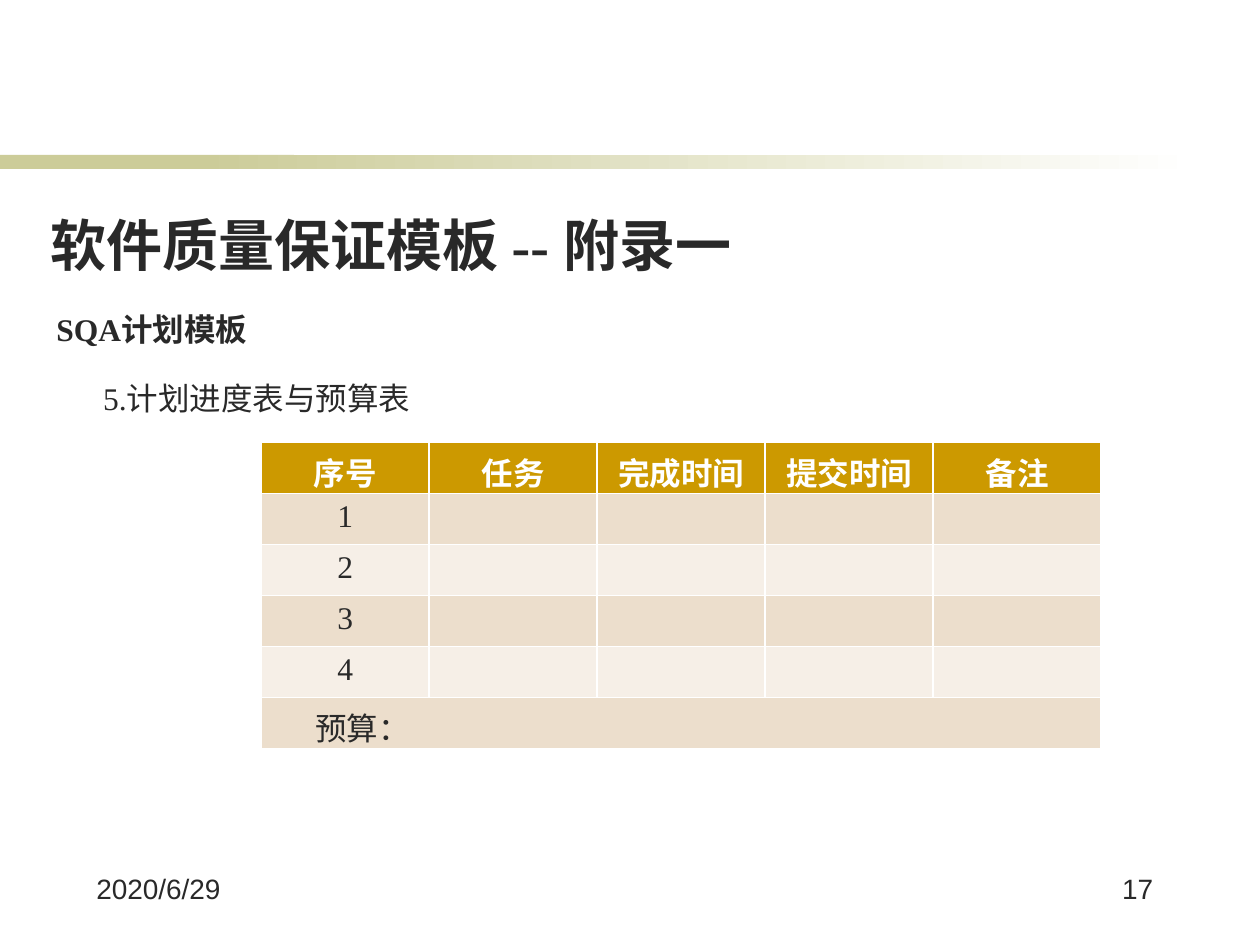
"""Build the slide with the schedule and budget table of the SQA plan template."""
import pptx
import pptx.dml.color
import pptx.enum.shapes
import pptx.enum.text
import pptx.util

Pt = pptx.util.Pt
RGBColor = pptx.dml.color.RGBColor
MSO_SHAPE = pptx.enum.shapes.MSO_SHAPE
MSO_ANCHOR = pptx.enum.text.MSO_ANCHOR
MSO_AUTO_SIZE = pptx.enum.text.MSO_AUTO_SIZE
PP_ALIGN = pptx.enum.text.PP_ALIGN

COLORS = {
    "ink": "292929",
    "white": "FFFFFF",
    "olive": "CCCC99",
    "header": "CC9900",
    "odd": "ECDECC",
    "even": "F6EFE7",
}
SERIF = "Times New Roman"
HEADINGS = ["序号", "任务", "完成时间", "提交时间", "备注"]
BODY_ROWS = 5


def color(name):
    return RGBColor.from_string(COLORS[name])


def write(frame, text, size, font=SERIF, bold=False, ink="ink", align=PP_ALIGN.LEFT):
    frame.text = text
    para = frame.paragraphs[0]
    para.alignment = align
    for span in para.runs:
        span.font.name = font
        span.font.size = Pt(size)
        span.font.bold = bold
        span.font.color.rgb = color(ink)


deck = pptx.Presentation()
deck.slide_width = Pt(720)
deck.slide_height = Pt(540)
page = deck.slides.add_slide(deck.slide_layouts[5])

solid_bar = page.shapes.add_shape(MSO_SHAPE.RECTANGLE, Pt(0), Pt(88.5), Pt(168), Pt(8))
solid_bar.fill.solid()
solid_bar.fill.fore_color.rgb = color("olive")
fading_bar = page.shapes.add_shape(MSO_SHAPE.RECTANGLE, Pt(114), Pt(88.5), Pt(570), Pt(8))
fading_bar.fill.gradient()
fading_bar.fill.gradient_angle = 0
for stop, name in zip(fading_bar.fill.gradient_stops, ["olive", "white"]):
    stop.color.rgb = color(name)
for bar in (solid_bar, fading_bar):
    bar.shadow.inherit = False
    bar.line.fill.background()

title = page.shapes.title
title.left, title.top, title.width, title.height = Pt(21.6), Pt(116.6), Pt(492), Pt(46)
title.text_frame.vertical_anchor = MSO_ANCHOR.TOP
title.text_frame.auto_size = MSO_AUTO_SIZE.SHAPE_TO_FIT_TEXT
write(title.text_frame, "软件质量保证模板 -- 附录一", 32, bold=True)

labels = [
    ("2020/6/29", 48, 494.6, 102, 36, 16, "Arial", False, PP_ALIGN.LEFT),
    ("17", 592.6, 494.6, 73.4, 36, 16, "Arial", False, PP_ALIGN.RIGHT),
    ("SQA计划模板", 25.2, 173.5, 623.5, 29, 18, SERIF, True, PP_ALIGN.LEFT),
    ("5.计划进度表与预算表", 51.8, 213, 215, 29, 18, SERIF, False, PP_ALIGN.LEFT),
]
for text, left, top, width, height, size, font, bold, align in labels:
    box = page.shapes.add_textbox(Pt(left), Pt(top), Pt(width), Pt(height))
    box.text_frame.word_wrap = True
    write(box.text_frame, text, size, font, bold, align=align)

table = page.shapes.add_table(
    BODY_ROWS + 1, len(HEADINGS), Pt(149.3), Pt(252.8), Pt(480), Pt(175)
).table
for row_index, row in enumerate(table.rows):
    fill_name = "header" if row_index == 0 else "odd" if row_index % 2 else "even"
    for cell in row.cells:
        cell.margin_bottom = Pt(0)
        cell.fill.solid()
        cell.fill.fore_color.rgb = color(fill_name)

for column_index, heading in enumerate(HEADINGS):
    cell = table.cell(0, column_index)
    write(cell.text_frame, heading, 18, bold=True, ink="white", align=PP_ALIGN.CENTER)
for number in range(1, BODY_ROWS):
    write(table.cell(number, 0).text_frame, str(number), 18, align=PP_ALIGN.CENTER)

budget = table.cell(BODY_ROWS, 0)
budget.merge(table.cell(BODY_ROWS, len(HEADINGS) - 1))
budget.margin_left = Pt(31)
write(budget.text_frame, "预算：", 18)

deck.save("out.pptx")
